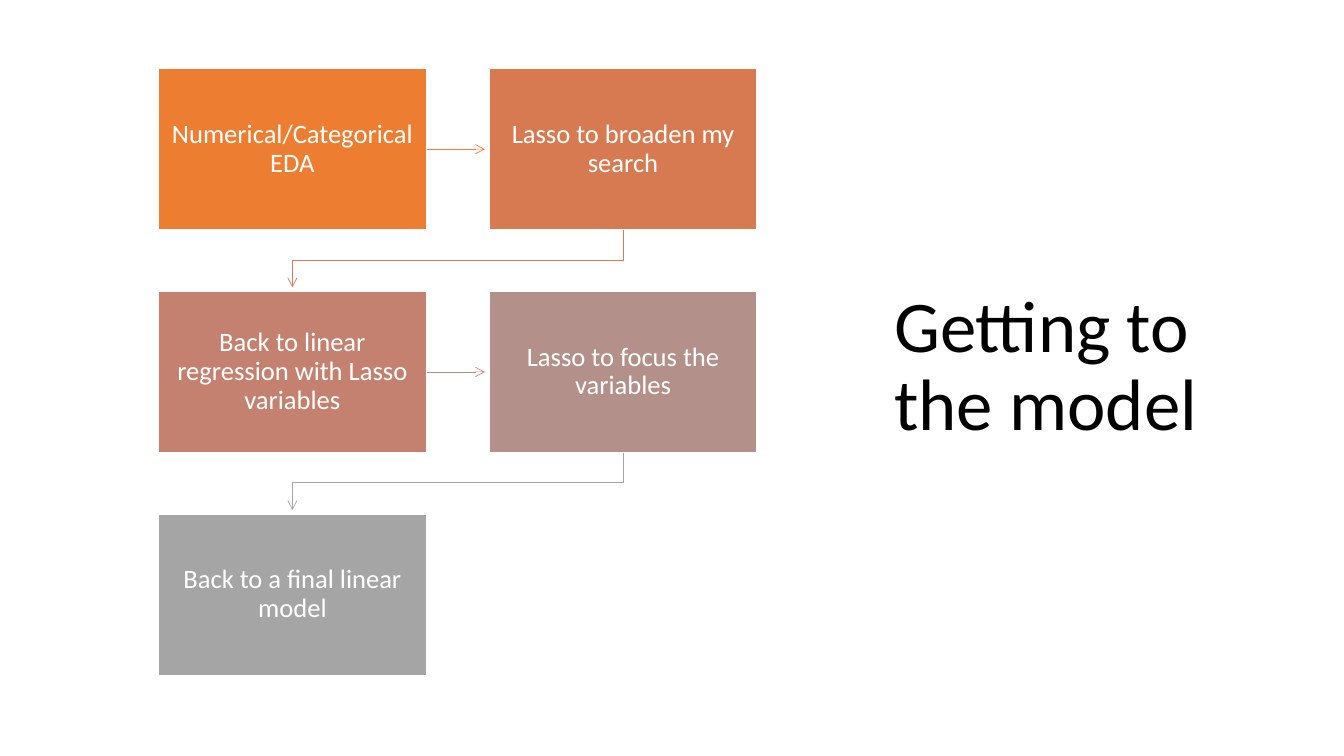
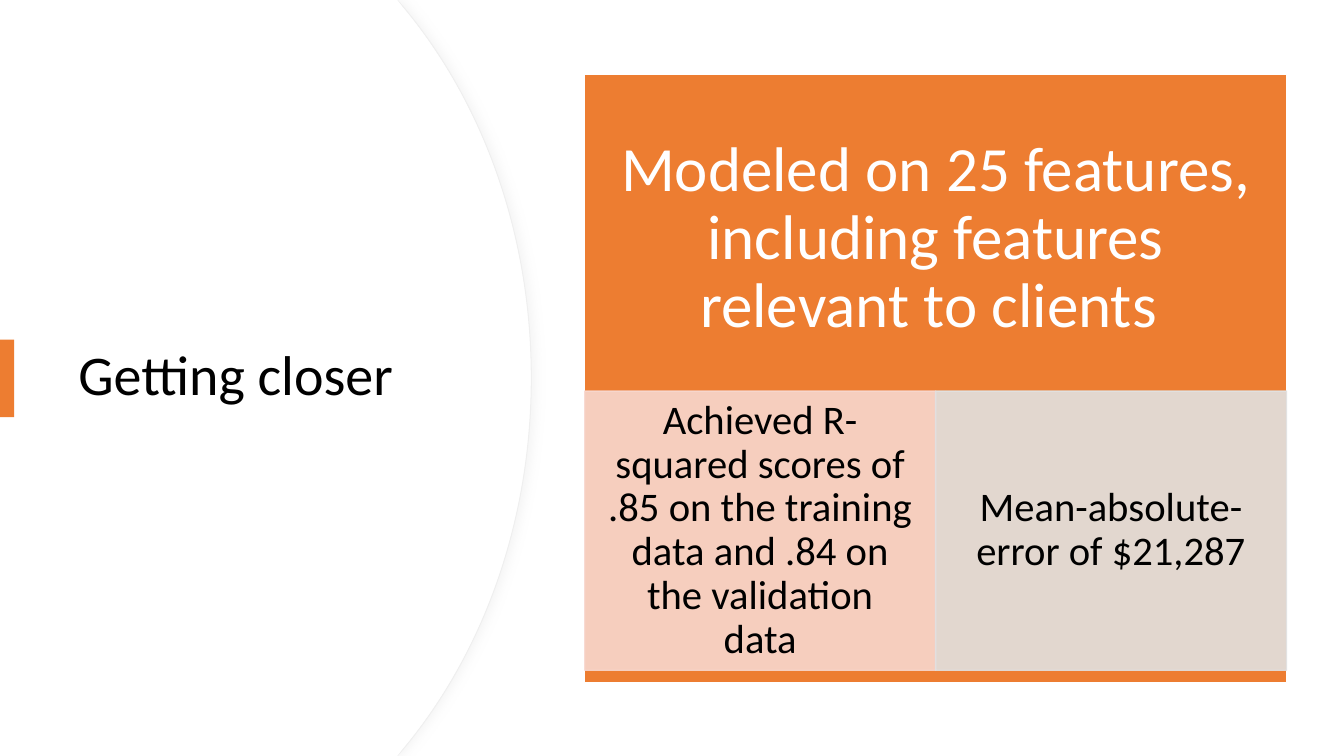
from lxml.etree import SubElement
from pptx import Presentation
from pptx.dml.color import RGBColor
from pptx.enum.shapes import MSO_CONNECTOR, MSO_SHAPE
from pptx.enum.text import MSO_ANCHOR, PP_ALIGN
from pptx.oxml.ns import qn
from pptx.util import Inches, Pt

FONT = "Calibri"
SLIDE_W, SLIDE_H = 13.33, 7.5
COLORS = {
    "white": "FFFFFF",
    "black": "000000",
    "orange": "ED7D31",
    "peach": "F8D7CE",
    "light_gray": "E1E1E1",
    "panel_edge": "EFEFEF",
    "panel_shadow": "D9D9D9",
    "copper": "D87A51",
    "clay": "C48170",
    "mauve": "B4908B",
    "gray": "A5A5A5",
    "copper_arrow": "D17B5C",
    "mauve_arrow": "B98A82",
}

# Step text, box colour, colour of the arrow to the next step
STEPS = [
    ("Numerical/Categorical EDA", "orange", "orange"),
    ("Lasso to broaden my search", "copper", "copper_arrow"),
    ("Back to linear regression with Lasso variables", "clay", "mauve_arrow"),
    ("Lasso to focus the variables", "mauve", "gray"),
    ("Back to a final linear model", "gray", None),
]
STEP_COLUMNS = 2
STEP_LEFT, STEP_TOP = 1.57, 0.68
STEP_W, STEP_H = 2.66, 1.6
STEP_PITCH_X, STEP_PITCH_Y = 3.28, 2.21
ARROW_CLEARANCE = 0.04
ELBOW_DROP = 0.3

HEADLINE = "Modeled on 25 features, including features relevant to clients "
RESULTS = [
    ("Achieved R-squared scores of .85 on the training data "
     "and .84 on the validation data", "peach"),
    ("Mean-absolute-error of $21,287", "light_gray"),
]
CARD_LEFT, CARD_TOP, CARD_W, CARD_H = 5.8, 0.74, 6.96, 6.03
HEADLINE_H = 3.26
RESULT_TOP, RESULT_H = 3.88, 2.77


def rgb(name):
    return RGBColor.from_string(COLORS[name])


def set_text(shape, text, size, color, align, insets):
    """Fill a shape with one middle-anchored paragraph; insets are left, top, right, bottom."""
    frame = shape.text_frame
    frame.word_wrap = True
    frame.vertical_anchor = MSO_ANCHOR.MIDDLE
    (frame.margin_left, frame.margin_top,
     frame.margin_right, frame.margin_bottom) = map(Inches, insets)
    frame.text = text
    paragraph = frame.paragraphs[0]
    paragraph.alignment = align
    paragraph.line_spacing = 0.9
    font = paragraph.runs[0].font
    font.name, font.size = FONT, Pt(size)
    font.color.rgb = rgb(color)


def add_title(slide, text, box, size):
    title = slide.shapes.add_textbox(*map(Inches, box))
    set_text(title, text, size, "black", PP_ALIGN.LEFT, (0.1, 0.05, 0.1, 0.05))


def style_outline(shape, color, width):
    if color is None:
        shape.line.fill.background()
    else:
        shape.line.color.rgb = rgb(color)
        shape.line.width = Pt(width)


def add_block(slide, box, fill, outline=None):
    block = slide.shapes.add_shape(MSO_SHAPE.RECTANGLE, *map(Inches, box))
    block.shadow.inherit = False
    block.fill.solid()
    block.fill.fore_color.rgb = rgb(fill)
    style_outline(block, outline, 1)
    return block


def set_opacity(shape, percent):
    for color in shape._element.spPr.iter(qn("a:srgbClr")):
        SubElement(color, qn("a:alpha"), val=str(percent * 1000))


def add_outline_path(slide, points, close):
    corners = [(Inches(x), Inches(y)) for x, y in points]
    builder = slide.shapes.build_freeform(*corners[0], scale=1.0)
    builder.add_line_segments(corners[1:], close=close)
    outline = builder.convert_to_shape()
    outline.shadow.inherit = False
    return outline


def add_arrow(slide, points, color):
    """Draw a straight connector for two points, a bent path for more."""
    if len(points) == 2:
        (x1, y1), (x2, y2) = points
        arrow = slide.shapes.add_connector(
            MSO_CONNECTOR.STRAIGHT, *map(Inches, (x1, y1, x2, y2)))
        SubElement(arrow._element.spPr, qn("a:effectLst"))
    else:
        arrow = add_outline_path(slide, points, close=False)
        arrow.fill.background()
    style_outline(arrow, color, 0.5)
    SubElement(arrow._element.spPr.find(qn("a:ln")), qn("a:tailEnd"), type="arrow")


def step_position(index):
    row, column = divmod(index, STEP_COLUMNS)
    return STEP_LEFT + column * STEP_PITCH_X, STEP_TOP + row * STEP_PITCH_Y


def step_arrow_points(index):
    left, top = step_position(index)
    next_left, next_top = step_position(index + 1)
    if top == next_top:
        middle = top + STEP_H / 2
        return [(left + STEP_W, middle), (next_left - ARROW_CLEARANCE, middle)]
    start_x, end_x = left + STEP_W / 2, next_left + STEP_W / 2
    bottom = top + STEP_H
    bend = bottom + ELBOW_DROP
    return [(start_x, bottom), (start_x, bend), (end_x, bend),
            (end_x, next_top - ARROW_CLEARANCE)]


def bend_segments(outline, first):
    """Turn three straight segments, from the given one on, into one cubic curve."""
    segments = list(outline._element.spPr.iter(qn("a:lnTo")))[first:first + 3]
    curve = SubElement(segments[0].getparent(), qn("a:cubicBezTo"))
    segments[0].addprevious(curve)
    for segment in segments:
        curve.append(segment[0])
        segment.getparent().remove(segment)


def add_curved_panel(slide, bulge, outline=None):
    """White panel from the left edge whose right side bulges out to the given x."""
    shoulder, control = bulge - 1.26, bulge - 0.48
    upper = [(0, 0), (3.94, 0), (shoulder, 0.08), (control, 1.02), (bulge, 2.32)]
    lower = [(x, SLIDE_H - y) for x, y in reversed(upper)]
    panel = add_outline_path(slide, [*upper, (bulge, SLIDE_H / 2), *lower], close=True)
    for first in (5, 2):
        bend_segments(panel, first)
    panel.fill.solid()
    panel.fill.fore_color.rgb = rgb("white")
    style_outline(panel, outline, 0.75)
    return panel


def add_soft_shadow(shape):
    effects = shape._element.spPr.find(qn("a:effectLst"))
    shadow = SubElement(effects, qn("a:outerShdw"), blurRad=str(Pt(7)),
                        dist=str(Pt(3)), dir="0", algn="l", rotWithShape="0")
    color = SubElement(shadow, qn("a:srgbClr"), val=COLORS["panel_shadow"])
    SubElement(color, qn("a:alpha"), val="25000")


def build_process_slide(slide):
    add_title(slide, "Getting to the model", (8.77, 0.6, 3.65, 6.1), 52)
    for index, (text, fill, arrow_color) in enumerate(STEPS):
        if arrow_color:
            add_arrow(slide, step_arrow_points(index), arrow_color)
        step = add_block(slide, (*step_position(index), STEP_W, STEP_H), fill, "white")
        set_text(step, text, 19, "white", PP_ALIGN.CENTER, (0.13, 0.14, 0.13, 0.14))


def build_results_slide(slide):
    add_soft_shadow(add_curved_panel(slide, 5.27, "panel_edge"))
    add_curved_panel(slide, 5.26)
    add_title(slide, "Getting closer", (0.68, 1.27, 3.94, 4.95), 40)
    add_block(slide, (0, 3.37, 0.14, 0.77), "orange")

    card = add_block(slide, (CARD_LEFT, CARD_TOP, CARD_W, CARD_H), "orange", "white")
    below_headline = CARD_H - HEADLINE_H
    set_text(card, HEADLINE, 45, "white", PP_ALIGN.CENTER,
             (0.35, 0.35, 0.35, 0.35 + below_headline))

    result_w = CARD_W / len(RESULTS)
    for index, (text, fill) in enumerate(RESULTS):
        box = (CARD_LEFT + index * result_w, RESULT_TOP, result_w, RESULT_H)
        result = add_block(slide, box, fill, fill)
        set_opacity(result, 90)
        set_text(result, text, 29, "black", PP_ALIGN.CENTER, (0.23, 0.04, 0.23, 0.04))


def main():
    deck = Presentation()
    deck.slide_width, deck.slide_height = Inches(SLIDE_W), Inches(SLIDE_H)
    blank = deck.slide_layouts[6]
    for build in (build_process_slide, build_results_slide):
        build(deck.slides.add_slide(blank))
    deck.save("out.pptx")


if __name__ == "__main__":
    main()
